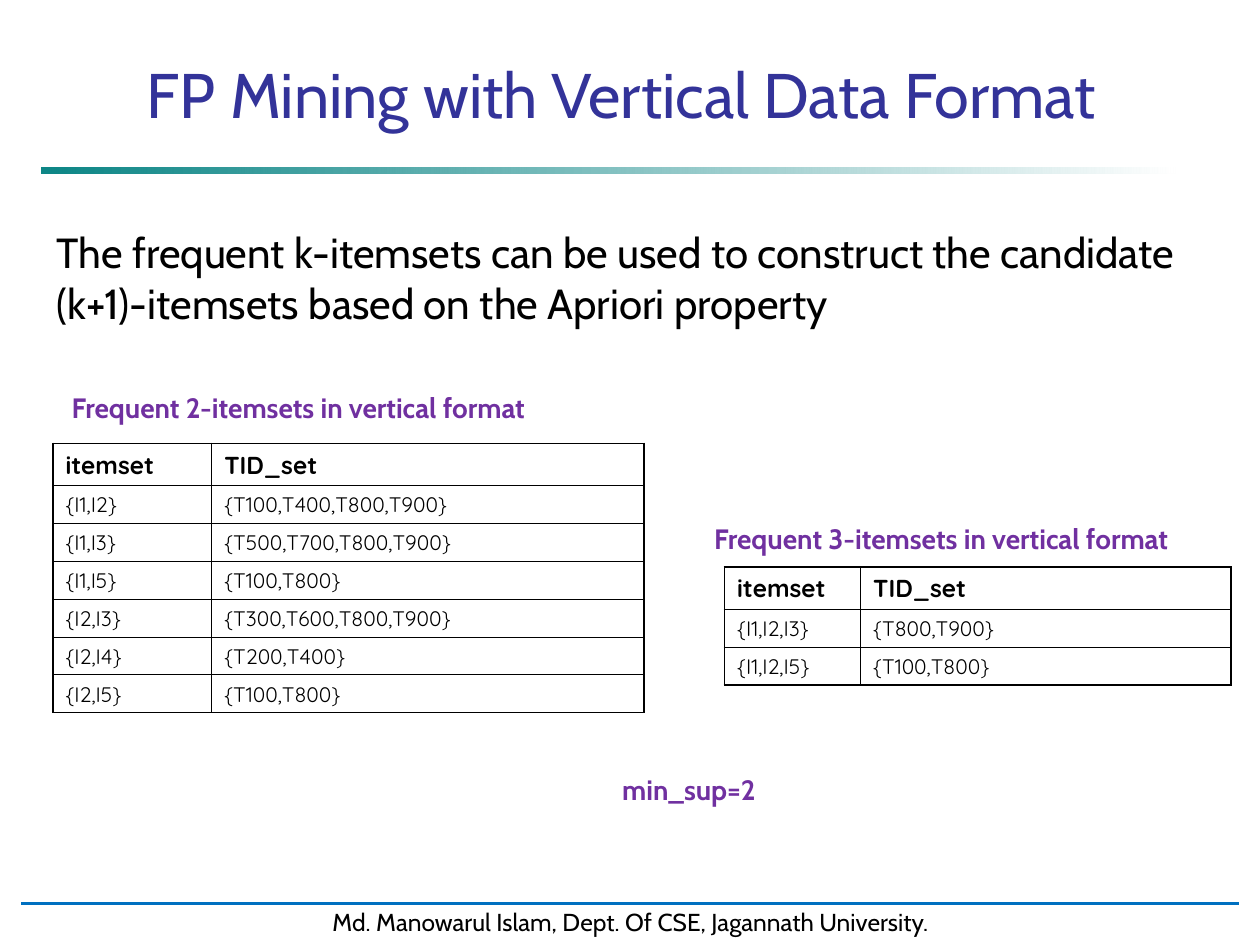
from lxml import etree
from pptx import Presentation
from pptx.dml.color import RGBColor
from pptx.enum.shapes import MSO_CONNECTOR, MSO_SHAPE
from pptx.enum.text import MSO_ANCHOR, PP_ALIGN
from pptx.oxml.ns import qn
from pptx.util import Inches, Pt

RECTANGLE, STRAIGHT = MSO_SHAPE.RECTANGLE, MSO_CONNECTOR.STRAIGHT
CENTER, LEFT = PP_ALIGN.CENTER, PP_ALIGN.LEFT
TOP, BOTTOM = MSO_ANCHOR.TOP, MSO_ANCHOR.BOTTOM

TITLE = "FP Mining with Vertical Data Format"
STATEMENT = ("The frequent k-itemsets can be used to construct the "
             "candidate (k+1)-itemsets based on the Apriori property")
FOOTER = "Md. Manowarul Islam, Dept. Of CSE, Jagannath University."
LABELS = [
    ("Frequent 2-itemsets in vertical format", (0.47, 3.05, 4.42, 0.37)),
    ("Frequent 3-itemsets in vertical format", (5.57, 4.09, 4.42, 0.37)),
    ("min_sup=2", (4.84, 6.08, 1.37, 0.37)),
]
HEADER = ("itemset", "TID_set")
ITEMSET_TABLES = [
    {"left": 0.42, "top": 3.52, "widths": (1.26, 3.43), "bottom_line": 0.45,
     "rows": [("{I1,I2}", "{T100,T400,T800,T900}"),
              ("{I1,I3}", "{T500,T700,T800,T900}"),
              ("{I1,I5}", "{T100,T800}"),
              ("{I2,I3}", "{T300,T600,T800,T900}"),
              ("{I2,I4}", "{T200,T400}"),
              ("{I2,I5}", "{T100,T800}")]},
    {"left": 5.75, "top": 4.5, "widths": (1.08, 2.94), "bottom_line": 1.08,
     "rows": [("{I1,I2,I3}", "{T800,T900}"),
              ("{I1,I2,I5}", "{T100,T800}")]},
]
COLORS = {"title": "333399", "text": "000000", "label": "7030A0", "bullet": "3333CC",
          "teal": "008080", "white": "FFFFFF", "rule": "0070C0"}
HEADER_HEIGHT, ROW_HEIGHT = 0.33, 0.3
THIN, THICK = 0.45, 1.08


def color(name):
    return RGBColor.from_string(COLORS[name])


def write(frame, text, size, color_name, font="Cabin", bold=False, align=LEFT):
    frame.text = text
    paragraph = frame.paragraphs[0]
    paragraph.alignment = align
    style = paragraph.runs[0].font
    style.size, style.name, style.bold = Pt(size), font, bold
    style.color.rgb = color(color_name)


def add_bullet(paragraph):
    properties = paragraph._p.get_or_add_pPr()
    properties.set("marL", str(Inches(0.38)))
    properties.set("indent", str(-Inches(0.38)))
    bullet_color = etree.SubElement(properties, qn("a:buClr"))
    etree.SubElement(bullet_color, qn("a:srgbClr"), val=COLORS["bullet"])
    etree.SubElement(properties, qn("a:buSzPct"), val="60000")
    etree.SubElement(properties, qn("a:buFont"), typeface="Arial")
    etree.SubElement(properties, qn("a:buChar"), char="■")


def set_borders(cell, widths):
    properties = cell._tc.get_or_add_tcPr()
    for position, (side, width) in enumerate(zip("LRTB", widths)):
        border = etree.Element(qn(f"a:ln{side}"), w=str(Pt(width)))
        fill = etree.SubElement(border, qn("a:solidFill"))
        etree.SubElement(fill, qn("a:srgbClr"), val=COLORS["text"])
        properties.insert(position, border)


def add_itemset_table(slide, data):
    rows = [HEADER] + data["rows"]
    heights = [HEADER_HEIGHT] + [ROW_HEIGHT] * len(data["rows"])
    widths = data["widths"]
    table = slide.shapes.add_table(
        len(rows), len(widths), Inches(data["left"]), Inches(data["top"]),
        Inches(sum(widths)), Inches(sum(heights))).table
    table.first_row = table.horz_banding = False
    for column, width in zip(table.columns, widths):
        column.width = Inches(width)
    for r, (values, height) in enumerate(zip(rows, heights)):
        table.rows[r].height = Inches(height)
        for c, value in enumerate(values):
            cell = table.cell(r, c)
            cell.fill.background()
            write(cell.text_frame, value, 12 if r else 14, "text", "Quicksand", r == 0)
            set_borders(cell, (THIN if c else THICK,
                               THICK if c == len(widths) - 1 else THIN,
                               THIN if r else THICK,
                               data["bottom_line"] if r == len(rows) - 1 else THIN))


def add_master_bars(slide):
    bar = slide.shapes.add_shape(RECTANGLE, *map(Inches, (0.33, 1.33, 9, 0.05)))
    bar.shadow.inherit = False
    bar.line.fill.background()
    bar.fill.gradient()
    bar.fill.gradient_angle = 0
    for stop, name, position in zip(bar.fill.gradient_stops, ("teal", "white"), (0, 1)):
        stop.color.rgb = color(name)
        stop.position = position
    teal = bar._element.spPr.find(".//" + qn("a:srgbClr"))
    etree.SubElement(teal, qn("a:alpha"), val="95000")

    footer = slide.shapes.add_shape(RECTANGLE, *map(Inches, (0.17, 7.15, 9.67, 0.33)))
    footer.shadow.inherit = False
    footer.fill.solid()
    footer.fill.fore_color.rgb = color("white")
    footer.line.color.rgb = color("white")
    footer.line.width = Pt(2)
    footer.text_frame.word_wrap = False
    footer.text_frame.vertical_anchor = TOP
    write(footer.text_frame, FOOTER, 14, "text", align=CENTER)

    rule = slide.shapes.add_connector(STRAIGHT, *map(Inches, (0.17, 7.17, 9.83, 7.17)))
    rule.line.color.rgb = color("rule")
    rule.line.width = Pt(1.75)
    etree.SubElement(rule._element.spPr, qn("a:effectLst"))


def main():
    """Build the slide on frequent pattern mining with vertical data format."""
    deck = Presentation()
    deck.slide_width, deck.slide_height = Inches(10), Inches(7.5)
    slide = deck.slides.add_slide(deck.slide_layouts[5])
    add_master_bars(slide)

    title = slide.shapes.title
    title.left, title.top, title.width, title.height = map(Inches, (0.67, 0.42, 8.52, 0.67))
    title.text_frame.vertical_anchor = BOTTOM
    write(title.text_frame, TITLE, 36, "title", align=CENTER)

    statement = slide.shapes.add_textbox(*map(Inches, (0.35, 1.75, 9.34, 1.42))).text_frame
    statement.word_wrap = True
    add_bullet(statement.paragraphs[0])
    write(statement, STATEMENT, 24, "text")

    for text, place in LABELS:
        label = slide.shapes.add_textbox(*map(Inches, place)).text_frame
        label.word_wrap = False
        write(label, text, 16, "label", bold=True)
    for data in ITEMSET_TABLES:
        add_itemset_table(slide, data)
    deck.save("out.pptx")


if __name__ == "__main__":
    main()
